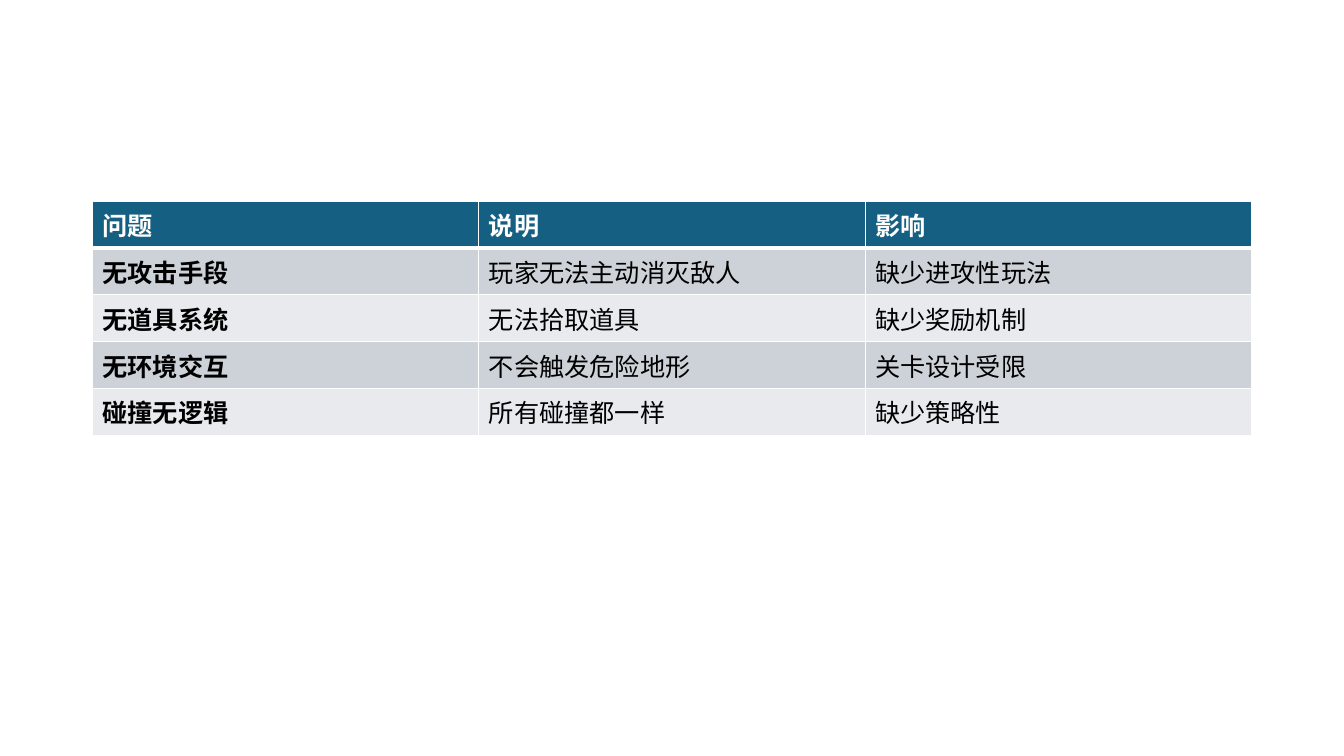
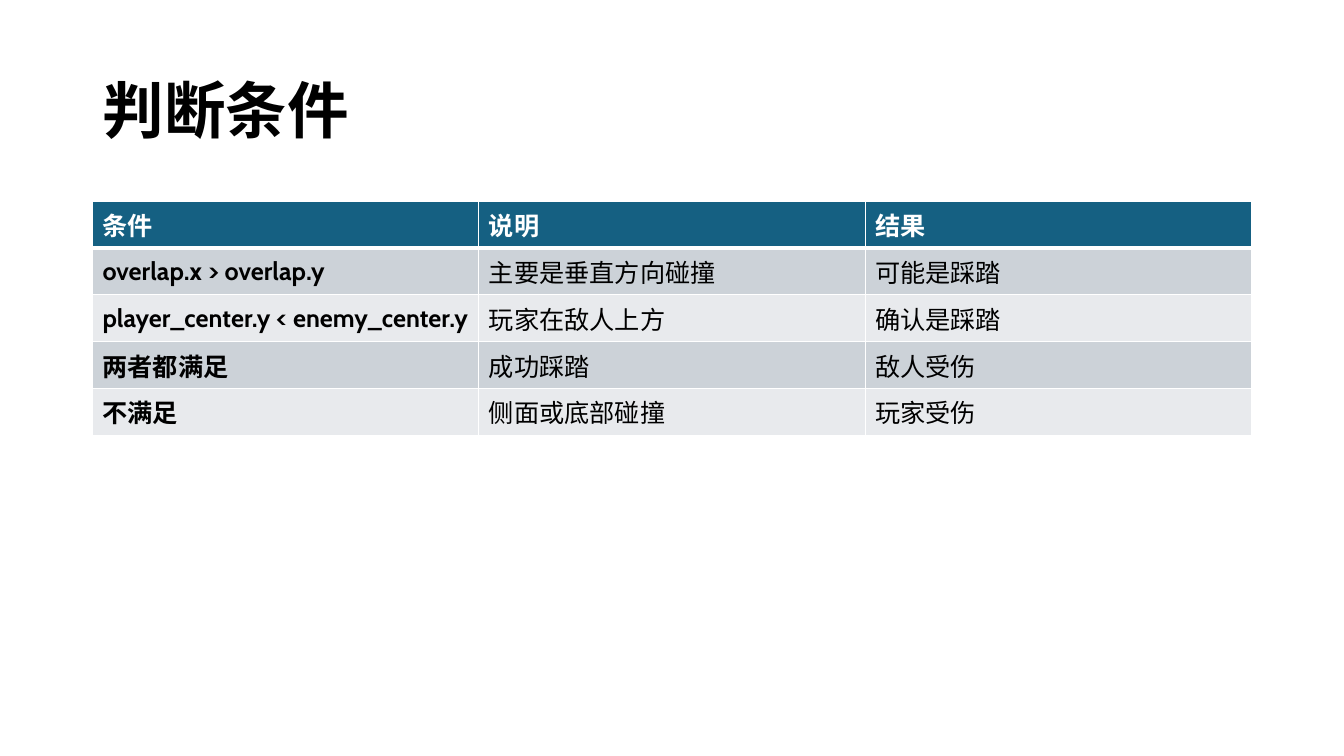
"""Build two slides of game collision tables."""
from dataclasses import dataclass

from lxml.etree import SubElement
from pptx import Presentation
from pptx.dml.color import RGBColor
from pptx.enum.lang import MSO_LANGUAGE_ID
from pptx.enum.text import MSO_ANCHOR, MSO_AUTO_SIZE, PP_ALIGN
from pptx.oxml.ns import qn
from pptx.util import Cm, Pt

HUES = {
    "head": "156082",
    "dark": "CCD2D8",
    "light": "E8EAED",
    "white": "FFFFFF",
    "black": "000000",
}
FACE = "Cabin"
LEFT, WIDTH = Cm(2.33), Cm(29.21)
TOP, ROW = Cm(5.07), Cm(1.18)


@dataclass(frozen=True)
class Page:
    title: str
    rows: tuple[tuple[str, ...], ...]


PAGES = (
    Page("", (
        ("问题", "说明", "影响"),
        ("无攻击手段", "玩家无法主动消灭敌人", "缺少进攻性玩法"),
        ("无道具系统", "无法拾取道具", "缺少奖励机制"),
        ("无环境交互", "不会触发危险地形", "关卡设计受限"),
        ("碰撞无逻辑", "所有碰撞都一样", "缺少策略性"),
    )),
    Page("判断条件", (
        ("条件", "说明", "结果"),
        ("overlap.x > overlap.y", "主要是垂直方向碰撞", "可能是踩踏"),
        ("player_center.y < enemy_center.y", "玩家在敌人上方", "确认是踩踏"),
        ("两者都满足", "成功踩踏", "敌人受伤"),
        ("不满足", "侧面或底部碰撞", "玩家受伤"),
    )),
)


def style(para, size: int, hue: str, bold: bool) -> None:
    font = para.font
    font.name, font.size, font.bold = FACE, Pt(size), bold
    font.color.rgb = RGBColor.from_string(HUES[hue])
    font.language_id = MSO_LANGUAGE_ID.SIMPLIFIED_CHINESE
    para.alignment = PP_ALIGN.LEFT


def edge(cell, row: int) -> None:
    props = cell._tc.get_or_add_tcPr()
    thick = {(0, "lnB"), (1, "lnT")}
    for side in ("lnL", "lnR", "lnT", "lnB"):
        width = Pt(3 if (row, side) in thick else 1)
        line = SubElement(props, qn(f"a:{side}"), w=str(width))
        fill = SubElement(line, qn("a:solidFill"))
        SubElement(fill, qn("a:srgbClr"), val=HUES["white"])


def add_title(slide, text: str) -> None:
    title = slide.shapes.title
    title.left, title.top = LEFT, Cm(1.01)
    title.width, title.height = WIDTH, Cm(3.68)
    frame = title.text_frame
    frame.text = text
    frame.auto_size = MSO_AUTO_SIZE.NONE
    frame.vertical_anchor = MSO_ANCHOR.MIDDLE
    para = frame.paragraphs[0]
    para.line_spacing = 0.9
    style(para, 44, "black", True)


def add_grid(slide, rows: tuple[tuple[str, ...], ...]) -> None:
    count = len(rows)
    grid = slide.shapes.add_table(
        count, len(rows[0]), LEFT, TOP, WIDTH, ROW * count
    ).table
    for r, texts in enumerate(rows):
        band = "head" if r == 0 else ("light", "dark")[r % 2]
        for c, text in enumerate(texts):
            cell = grid.cell(r, c)
            cell.text = text
            cell.vertical_anchor = MSO_ANCHOR.MIDDLE
            edge(cell, r)
            cell.fill.solid()
            cell.fill.fore_color.rgb = RGBColor.from_string(HUES[band])
            hue = "white" if r == 0 else "black"
            style(cell.text_frame.paragraphs[0], 18, hue, r == 0 or c == 0)


def main() -> None:
    deck = Presentation()
    deck.slide_width, deck.slide_height = Cm(33.87), Cm(19.05)
    for page in PAGES:
        name = "Title Only" if page.title else "Blank"
        slide = deck.slides.add_slide(deck.slide_layouts.get_by_name(name))
        if page.title:
            add_title(slide, page.title)
        add_grid(slide, page.rows)
    deck.save("out.pptx")


if __name__ == "__main__":
    main()
